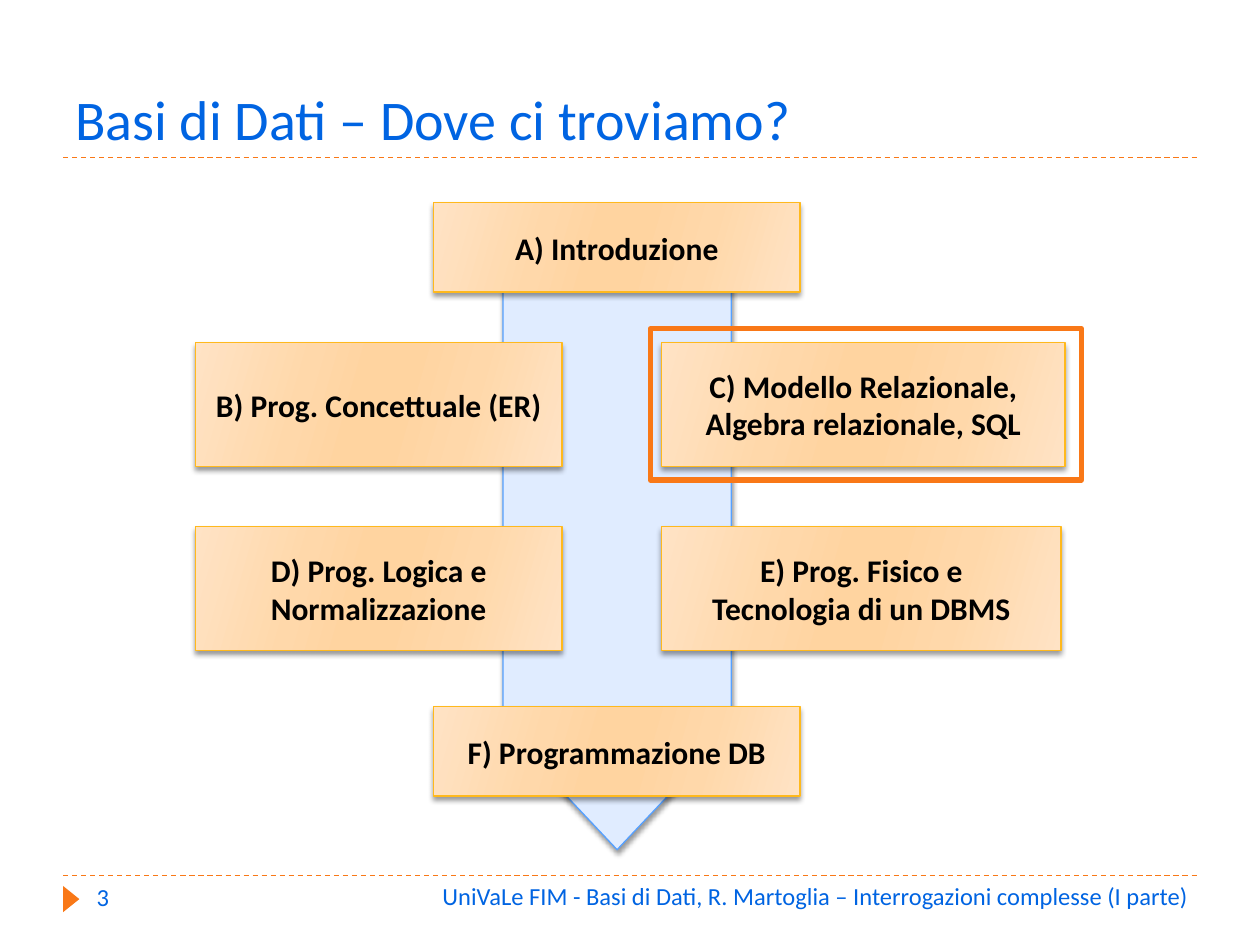
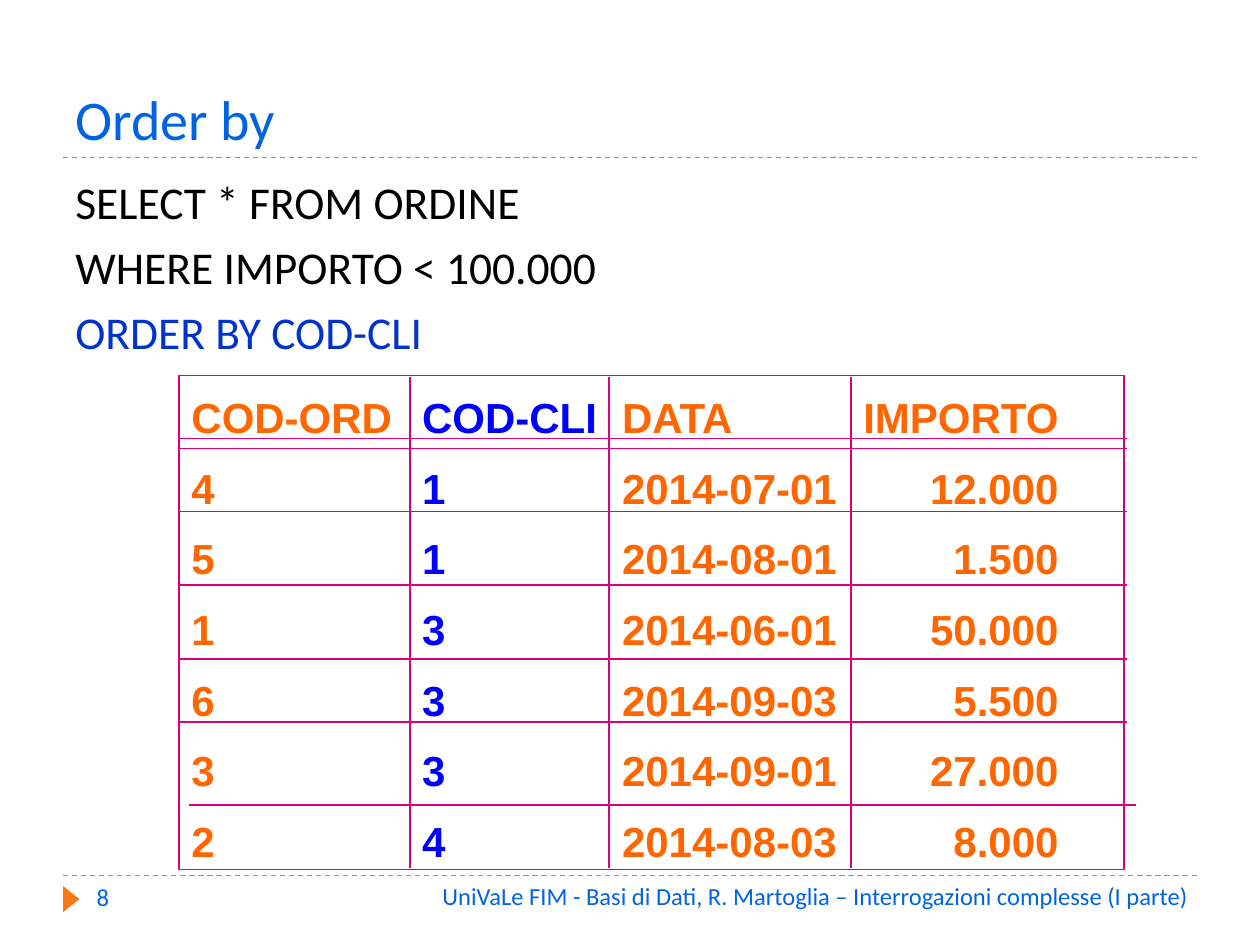
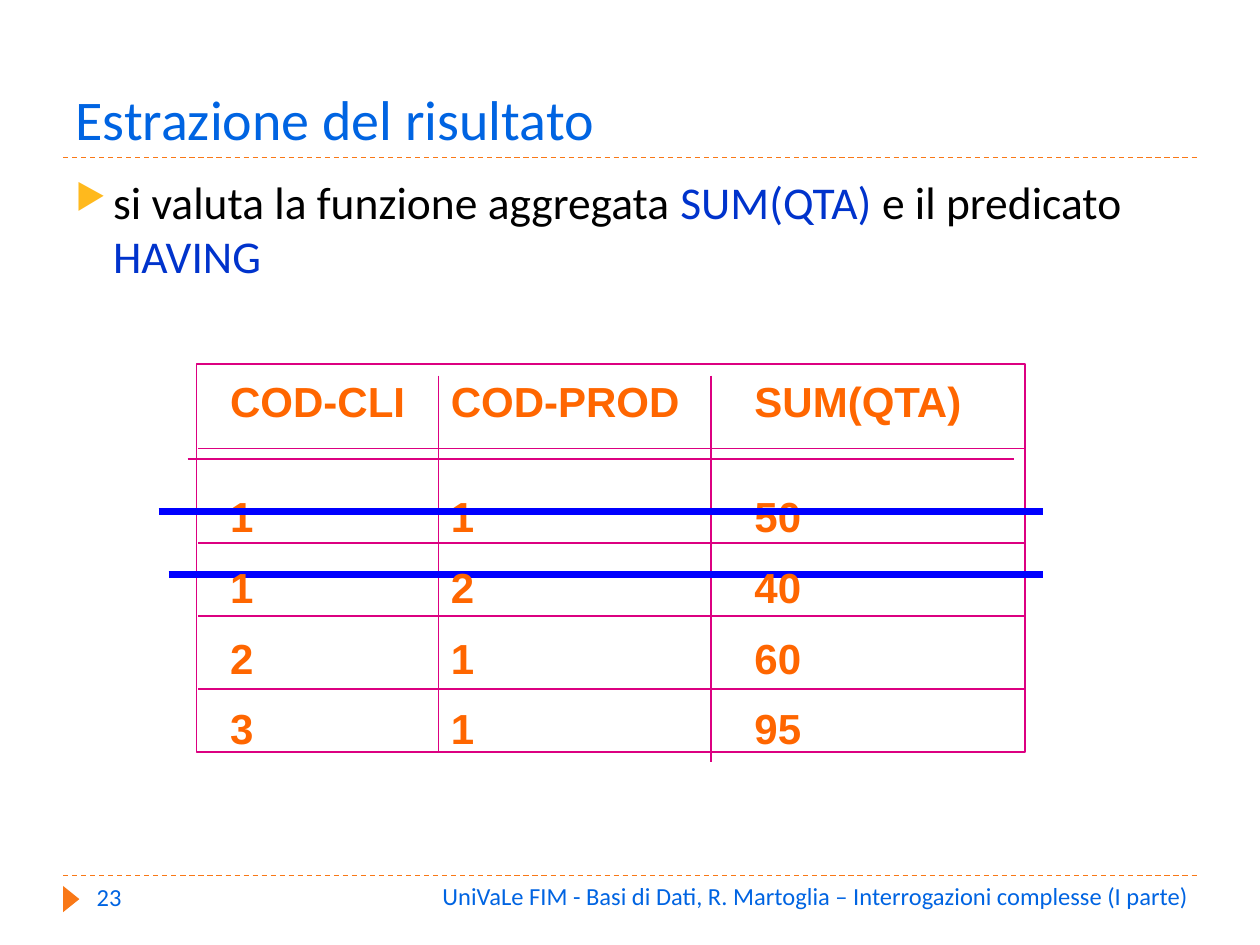
from lxml import etree
from pptx import Presentation
from pptx import util as u
from pptx.dml.color import RGBColor
from pptx.enum import dml, shapes, text
from pptx.oxml import ns

BLUE, ACCENT, STRIKE = "0064E2", "0033CC", "0000FF"
ORANGE, AMBER, MAGENTA, DATA = "F97817", "FFB91D", "DC0081", "FF6600"
FOOTER = "UniVaLe FIM - Basi di Dati, R. Martoglia – Interrogazioni complesse (I parte)"
GRADIENT = [(0, "FFE3C5"), (30, "FFD8AA"), (45, "FFD4A0"),
            (55, "FFD4A0"), (73, "FFD8AA"), (100, "FFE3C5")]
LEFT, CENTER, RIGHT = text.PP_ALIGN.LEFT, text.PP_ALIGN.CENTER, text.PP_ALIGN.RIGHT
TOP, MIDDLE, BOTTOM = text.MSO_ANCHOR.TOP, text.MSO_ANCHOR.MIDDLE, text.MSO_ANCHOR.BOTTOM
hue = RGBColor.from_string


def write(box, content, size=14, color=BLUE, font="Calibri", bold=False, align=LEFT,
          anchor=TOP, wrap=True, spacing=None, before=None):
    frame = box.text_frame
    frame.word_wrap = wrap
    frame.vertical_anchor = anchor
    if not wrap:
        frame.auto_size = text.MSO_AUTO_SIZE.SHAPE_TO_FIT_TEXT
    for row, line in enumerate(content.split("\n")):
        para = frame.add_paragraph() if row else frame.paragraphs[0]
        para.alignment = align
        para.line_spacing = spacing
        para.space_before = before
        for index, part in enumerate(line.split("|")):
            if part:
                span = para.add_run()
                span.text = part
                span.font.name = font
                span.font.size = u.Pt(size)
                span.font.bold = bold
                span.font.color.rgb = hue(ACCENT if index % 2 else color)


def rule(page, x1, y1, x2, y2, color=MAGENTA, width=1, dash=None):
    line = page.shapes.add_connector(shapes.MSO_CONNECTOR.STRAIGHT,
                                     u.Cm(x1), u.Cm(y1), u.Cm(x2), u.Cm(y2))
    line.line.color.rgb = hue(color)
    line.line.width = u.Pt(width)
    line.line.dash_style = dash
    etree.SubElement(line._element.spPr, ns.qn("a:effectLst"))


deck = Presentation()
deck.slide_width, deck.slide_height = u.Cm(25.4), u.Cm(19.05)

pages = []
for title, number in [("Basi di Dati – Dove ci troviamo?", "3"), ("Order by", "8"),
                      ("Estrazione del risultato", "23")]:
    page = deck.slides.add_slide(deck.slide_layouts[6])
    pages.append(page)
    for y in (17.65, 3.18):
        rule(page, 1.27, y, 24.13, y, ORANGE, 0.75, dml.MSO_LINE.DASH)
    marker = page.shapes.add_shape(shapes.MSO_SHAPE.ISOSCELES_TRIANGLE,
                                   u.Cm(1.17), u.Cm(17.96), u.Cm(0.53), u.Cm(0.33))
    marker.rotation = 90
    marker.shadow.inherit = False
    marker.fill.solid()
    marker.fill.fore_color.rgb = hue(ORANGE)
    marker.line.fill.background()
    for content, place, style in [
        (title, (1.27, 0.43, 22.86, 2.75), {"size": 32, "anchor": BOTTOM}),
        (number, (1.7, 17.65, 5.51, 1.02), {}),
        (FOOTER, (7.49, 17.63, 16.72, 1.02), {"align": RIGHT}),
    ]:
        write(page.shapes.add_textbox(*map(u.Cm, place)), content, **style)
course, order, result = pages

topics = [
    ("", 5.99, 8.38, 12.9, 4.6),
    ("C) Modello Relazionale, Algebra relazionale, SQL", 13.34, 6.91, 8.13, 2.49),
    ("A) Introduzione", 8.74, 4.09, 7.39, 1.8),
    ("B) Prog. Concettuale (ER)", 3.94, 6.91, 7.39, 2.49),
    ("D) Prog. Logica e Normalizzazione", 3.94, 10.62, 7.39, 2.49),
    ("F) Programmazione DB", 8.74, 14.25, 7.39, 1.8),
    ("E) Prog. Fisico e\nTecnologia di un DBMS", 13.34, 10.62, 8.05, 2.49),
]
for label, *place in topics:
    preset = shapes.MSO_SHAPE.RECTANGLE if label else shapes.MSO_SHAPE.PENTAGON
    box = course.shapes.add_shape(preset, *map(u.Cm, place))
    box.line.width = u.Pt(0.75)
    if label:
        box.line.color.rgb = hue(AMBER)
        box.fill.gradient()
        box.fill.gradient_angle = 344
        stops = box._element.spPr.find(".//" + ns.qn("a:gsLst"))
        stops[:] = []
        for position, color in GRADIENT:
            stop = etree.SubElement(stops, ns.qn("a:gs"), pos=str(position * 1000))
            etree.SubElement(stop, ns.qn("a:srgbClr"), val=color)
        write(box, label, size=18, color="000000", bold=True, align=CENTER, anchor=MIDDLE)
    else:
        box.rotation = 90
        box.adjustments[0] = 0.53
        box.line.color.rgb = hue("55A0FF")
        box.fill.solid()
        box.fill.fore_color.rgb = hue("E0ECFF")
    box.shadow.inherit = False
    effects = box._element.spPr.find(ns.qn("a:effectLst"))
    shadow = etree.SubElement(effects, ns.qn("a:outerShdw"), blurRad=str(u.Pt(3)),
                              dist=str(u.Pt(2)), dir="5400000", rotWithShape="0")
    shade = etree.SubElement(shadow, ns.qn("a:srgbClr"), val="000000")
    etree.SubElement(shade, ns.qn("a:alpha"), val="40000")

for page, place, color, width in [
    (course, (13.11, 6.63, 8.69, 3.05), ORANGE, 3),
    (order, (3.61, 7.57, 19.05, 9.96), MAGENTA, 1),
    (result, (3.96, 7.34, 16.71, 7.82), MAGENTA, 1),
]:
    outline = page.shapes.add_shape(shapes.MSO_SHAPE.RECTANGLE, *map(u.Cm, place))
    outline.shadow.inherit = False
    outline.fill.background()
    outline.line.color.rgb = hue(color)
    outline.line.width = u.Pt(width)

for page, content in [
    (order, "SELECT * FROM ORDINE\nWHERE IMPORTO < 100.000\n|ORDER BY COD-CLI"),
    (result, "si valuta la funzione aggregata |SUM(QTA)| e il predicato |HAVING"),
]:
    body = page.shapes.add_textbox(u.Cm(1.27), u.Cm(3.38), u.Cm(22.86), u.Cm(13.72))
    write(body, content, size=26, color="000000", before=u.Pt(6))
bullet = body.text_frame.paragraphs[0]._p.get_or_add_pPr()
bullet.set("marL", str(u.Cm(0.76)))
bullet.set("indent", str(u.Cm(-0.76)))
tint = etree.SubElement(bullet, ns.qn("a:buClr"))
etree.SubElement(tint, ns.qn("a:srgbClr"), val=AMBER)
etree.SubElement(bullet, ns.qn("a:buSzPct"), val="76000")
etree.SubElement(bullet, ns.qn("a:buChar"), char="▶")

for x, width, color, align, values in [
    (3.61, 4.6, DATA, LEFT, "COD-ORD 4 5 1 6 3 2"),
    (8.26, 4.06, STRIKE, LEFT, "COD-CLI 1 1 3 3 3 4"),
    (12.29, 4.88, DATA, LEFT,
     "DATA 2014-07-01 2014-08-01 2014-06-01 2014-09-03 2014-09-01 2014-08-03"),
    (17.12, 4.47, DATA, RIGHT, "IMPORTO 12.000 1.500 50.000 5.500 27.000 8.000"),
]:
    column = order.shapes.add_textbox(u.Cm(x), u.Cm(7.37), u.Cm(width), u.Cm(10.31))
    write(column, values.replace(" ", "\n"), size=24, color=color, font="Arial",
          bold=True, align=align, wrap=False, spacing=1.4)
for x in (8.26, 12.27, 17.15):
    rule(order, x, 7.59, x, 17.5)
for y in (8.84, 9.04, 10.31, 11.79, 13.28, 14.55):
    rule(order, 3.61, y, 22.71, y)
rule(order, 3.81, 16.23, 22.91, 16.23)

for y in (9.04, 10.95, 12.42, 13.89):
    rule(result, 3.99, y, 20.65, y)
rule(result, 3.78, 9.25, 20.45, 9.25)
rule(result, 8.84, 7.57, 8.84, 15.16)
rule(result, 14.33, 7.57, 14.33, 15.37)
rule(result, 3.4, 11.58, 21.03, 11.58, STRIKE, 4)
for x, width, values in [
    (14.96, 4.95, "SUM(QTA) 50 40 60 95"),
    (8.84, 5.41, "COD-PROD 1 2 1 1"),
    (4.39, 4.32, "COD-CLI 1 1 2 3"),
]:
    column = result.shapes.add_textbox(u.Cm(x), u.Cm(7.57), u.Cm(width), u.Cm(7.67))
    write(column, values.replace(" ", "\n"), size=24, color=DATA, font="Arial",
          bold=True, wrap=False, spacing=1.4)
    header, first = column.text_frame.paragraphs[:2]
    header.line_spacing = 0.9
    first.space_before = u.Pt(25)
rule(result, 3.2, 10.31, 21.03, 10.31, STRIKE, 4)

deck.save("out.pptx")
